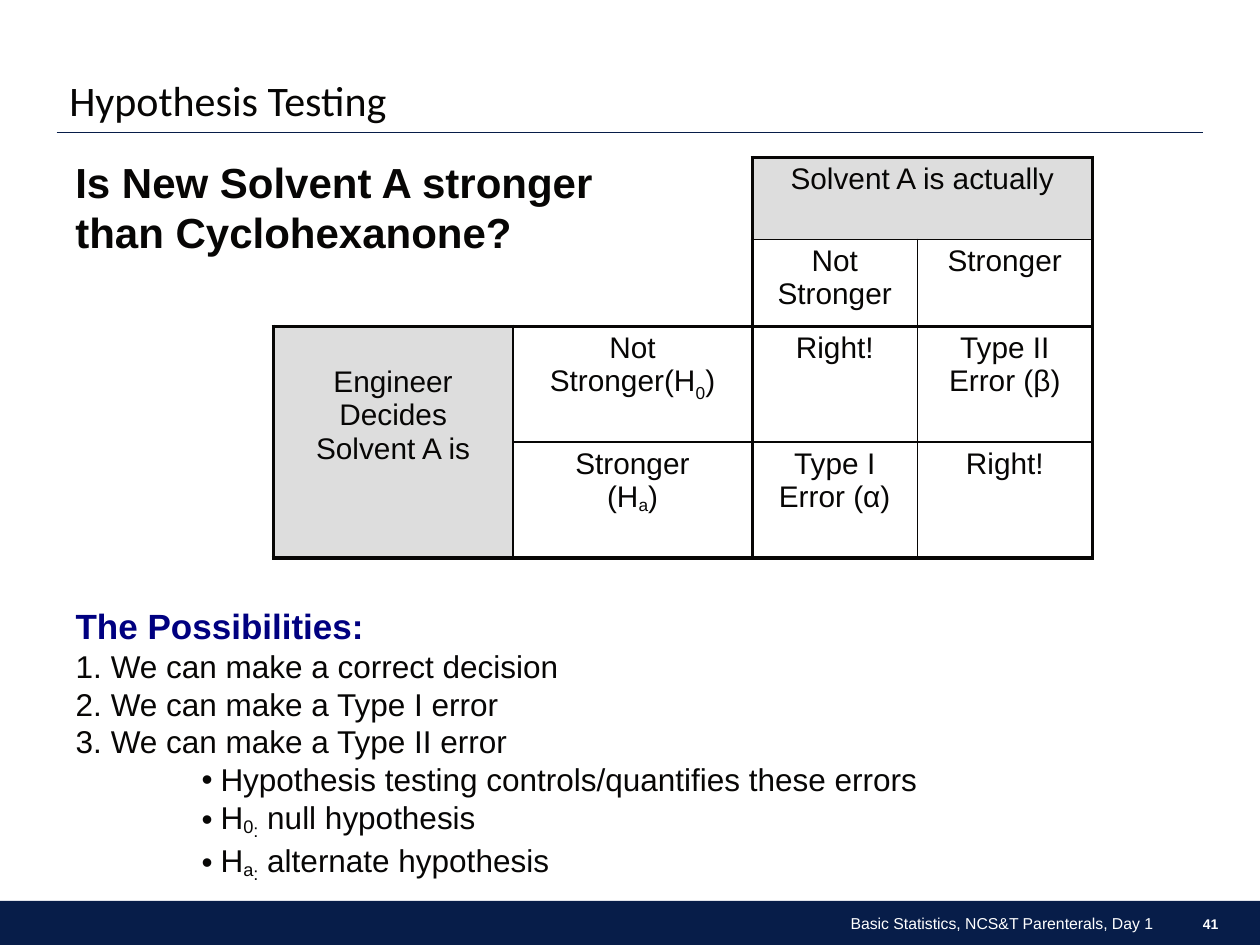
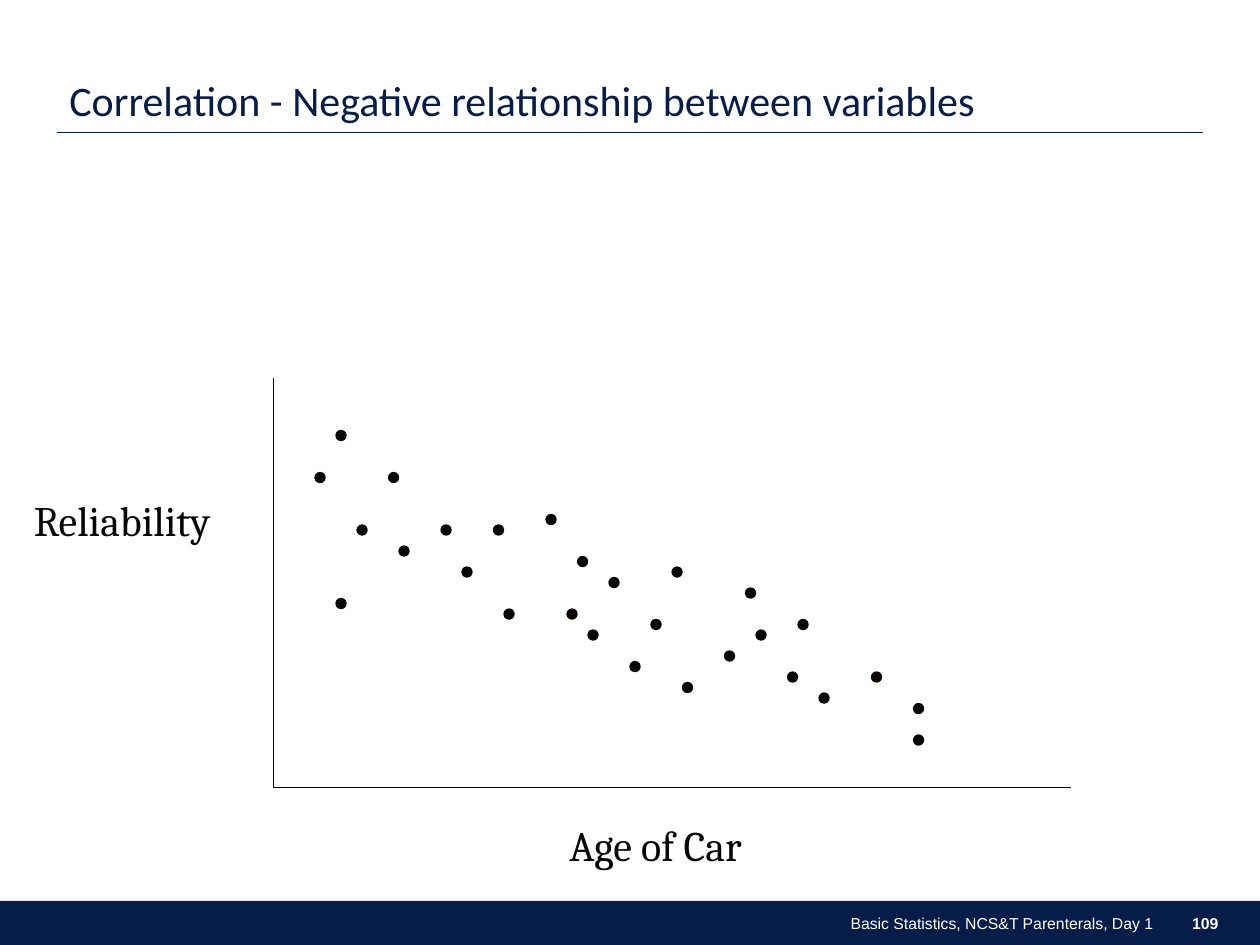
from lxml import etree
from pptx import Presentation
from pptx.dml.color import RGBColor
from pptx.enum import shapes, text
from pptx.oxml import ns
from pptx.util import Inches, Pt

NAVY = RGBColor(0x07, 0x1D, 0x49)
INK = RGBColor(0x07, 0x06, 0x05)
HEADING_BLUE = RGBColor(0x00, 0x00, 0x80)
GREY = RGBColor(0xDD, 0xDD, 0xDD)
WHITE = RGBColor(0xFF, 0xFF, 0xFF)

FOOTER = "Basic Statistics, NCS&T Parenterals, Day 1"
HEAVY, THIN = 2.25, 1

DECISION_CELLS = {
    (0, 2): ["Solvent A is actually"],
    (1, 2): ["Not Stronger"],
    (1, 3): ["Stronger"],
    (2, 0): ["Engineer\nDecides Solvent A is"],
    (2, 1): ["Not\nStronger(H", ("0", -25), ")"],
    (2, 2): ["Right!"],
    (2, 3): ["Type II Error (β)"],
    (3, 1): ["Stronger\n(H", ("a", -14), ")"],
    (3, 2): ["Type I Error (α)"],
    (3, 3): ["Right!"],
}

POSSIBILITIES = [
    ("number", ["We can make a correct decision"]),
    ("number", ["We can make a Type I error"]),
    ("number", ["We can make a Type II error"]),
    ("bullet", ["Hypothesis testing controls/quantifies these errors"]),
    ("bullet", ["H", ("0", -14), (":", -25), " null hypothesis"]),
    ("bullet", ["H", ("a", -14), (":", -25), " alternate hypothesis"]),
]

CARS_IN_TWELFTHS = [
    (32, 57), (37, 45), (44, 54), (52, 49), (48, 58), (47, 50), (55, 53),
    (56, 60), (65, 65), (30, 45), (60, 63), (62, 59), (69, 62), (87, 70),
    (75, 64), (72, 60), (76, 59), (78, 66), (87, 67), (83, 64), (32, 41),
    (34, 50), (42, 50), (54, 58), (64, 54), (71, 56), (38, 52), (58, 55),
]


def place(shape, left, top, width, height):
    shape.left, shape.top = Inches(left), Inches(top)
    shape.width, shape.height = Inches(width), Inches(height)


def style(para, font, size, color, bold=False):
    para.font.name = font
    para.font.size = Pt(size)
    para.font.color.rgb = color
    para.font.bold = bold


def add_spans(para, spans):
    for item in spans:
        words, baseline = (item, 0) if isinstance(item, str) else item
        for index, line in enumerate(words.split("\n")):
            if index:
                para.add_line_break()
            span = para.add_run()
            span.text = line
            if baseline:
                span._r.get_or_add_rPr().set("baseline", str(baseline * 1000))


def add_label(page, bounds, words, font, size, color, bold=False, wrap=True):
    box = page.shapes.add_textbox(*map(Inches, bounds))
    box.text_frame.word_wrap = wrap
    para = box.text_frame.paragraphs[0]
    add_spans(para, [words])
    style(para, font, size, color, bold)
    return box


def add_right_label(page, bounds, words, size, bold=False):
    box = add_label(page, bounds, words, "Arial", size, WHITE, bold)
    box.text_frame.vertical_anchor = text.MSO_ANCHOR.MIDDLE
    box.text_frame.paragraphs[0].alignment = text.PP_ALIGN.RIGHT
    return box


def add_line(page, start, end, color):
    line = page.shapes.add_connector(
        shapes.MSO_CONNECTOR.STRAIGHT, *map(Inches, start + end))
    line.line.color.rgb = color
    line.line.width = Pt(0.75)
    etree.SubElement(line._element.spPr, ns.qn("a:effectLst"))
    return line


def add_solid(page, kind, bounds, color):
    shape = page.shapes.add_shape(kind, *map(Inches, bounds))
    shape.shadow.inherit = False
    shape.fill.solid()
    shape.fill.fore_color.rgb = color
    shape.line.color.rgb = color
    shape.line.width = Pt(0.75)
    return shape


def dress_master(deck, page):
    master = deck.slide_master
    title = master.placeholders[0]
    place(title, 0.45, 0.25, 9.1, 0.8)
    title.text_frame.vertical_anchor = text.MSO_ANCHOR.BOTTOM
    title.text_frame.auto_size = text.MSO_AUTO_SIZE.NONE
    band = add_solid(page, shapes.MSO_SHAPE.RECTANGLE, (0, 7.15, 10, 0.35), NAVY)
    band.line.fill.background()
    rule = add_line(page, (0.45, 1.05), (9.55, 1.05), NAVY)
    for shared in (band, rule):
        master.shapes._spTree.append(shared._element)


def add_page(deck, layout, title, color, number, number_size):
    page = deck.slides.add_slide(deck.slide_layouts[layout])
    para = page.shapes.title.text_frame.paragraphs[0]
    add_spans(para, [title])
    para.alignment = text.PP_ALIGN.LEFT
    para.line_spacing = 0.9
    style(para, "Calibri", 24, color)
    add_right_label(page, (3.25, 7.23, 6, 0.2), FOOTER, 9)
    box = add_right_label(page, (9.28, 7.24, 0.39, 0.18), number, number_size, True)
    box.text_frame.margin_right = 0
    return page


def set_borders(cell, weights):
    props = cell._tc.get_or_add_tcPr()
    for side in "LRTB":
        edge = etree.SubElement(props, ns.qn(f"a:ln{side}"))
        weight = weights[side]
        if not weight:
            etree.SubElement(edge, ns.qn("a:noFill"))
            continue
        edge.set("w", str(Pt(weight)))
        fill = etree.SubElement(edge, ns.qn("a:solidFill"))
        etree.SubElement(fill, ns.qn("a:srgbClr"), val=str(INK))


def border_weights(cell, row, column):
    edges = {"L": column, "R": column + cell.span_width,
             "T": row, "B": row + cell.span_height}
    blank = row < 2 and column < 2
    return {side: 0 if blank and index != 2 else THIN if index % 2 else HEAVY
            for side, index in edges.items()}


def fill_cell(cell, row, column):
    set_borders(cell, border_weights(cell, row, column))
    cell.margin_top = cell.margin_bottom = Inches(0.04)
    if cell.is_merge_origin:
        cell.fill.solid()
        cell.fill.fore_color.rgb = GREY
    else:
        cell.fill.background()
    para = cell.text_frame.paragraphs[0]
    add_spans(para, DECISION_CELLS.get((row, column), []))
    para.alignment = text.PP_ALIGN.CENTER
    style(para, "Arial", 17, INK)


def add_decision_table(page):
    widths, heights = (1.9, 1.9, 1.31, 1.39), (0.65, 0.69, 0.92, 0.92)
    table = page.shapes.add_table(
        4, 4, Inches(2.17), Inches(1.25),
        Inches(sum(widths)), Inches(sum(heights))).table
    table.first_row = table.horz_banding = False
    for column, width in zip(table.columns, widths):
        column.width = Inches(width)
    for row, height in zip(table.rows, heights):
        row.height = Inches(height)
    table.cell(0, 2).merge(table.cell(0, 3))
    table.cell(2, 0).merge(table.cell(3, 0))
    for row in range(4):
        for column in range(4):
            cell = table.cell(row, column)
            if not cell.is_spanned:
                fill_cell(cell, row, column)
    table.cell(2, 0).margin_top = Inches(0.31)


def set_marker(para, kind):
    margin, hang = {"none": (0, 0), "number": (0.28, 0.28),
                    "bullet": (1.15, 0.15)}[kind]
    props = para._p.get_or_add_pPr()
    props.set("marL", str(Inches(margin)))
    props.set("indent", str(-Inches(hang)))
    if kind == "number":
        etree.SubElement(props, ns.qn("a:buFont"), typeface="Arial")
        etree.SubElement(props, ns.qn("a:buAutoNum"), type="arabicPeriod")
    elif kind == "bullet":
        etree.SubElement(props, ns.qn("a:buFont"), typeface="Arial")
        etree.SubElement(props, ns.qn("a:buChar"), char="•")
    else:
        etree.SubElement(props, ns.qn("a:buNone"))


def add_list_line(para, kind, spans, size, color, bold=False):
    set_marker(para, kind)
    para.space_before = Pt(0)
    add_spans(para, spans)
    style(para, "Arial", size, color, bold)


def fill_possibilities(body):
    place(body, 0.5, 4.75, 9.08, 2.27)
    frame = body.text_frame
    frame.auto_size = text.MSO_AUTO_SIZE.NONE
    add_list_line(frame.paragraphs[0], "none", ["The Possibilities:"],
                  20, HEADING_BLUE, True)
    for kind, spans in POSSIBILITIES:
        add_list_line(frame.add_paragraph(), kind, spans, 18, INK)


def add_axis_label(page, bounds, words):
    box = add_label(page, bounds, words, "Cambria", 24, INK, wrap=False)
    box.text_frame.paragraphs[0].line_spacing = 0.9


def add_scatter(page):
    corner = (2.17, 6.25)
    add_line(page, (2.17, 3), corner, INK)
    add_line(page, corner, (8.5, 6.25), INK)
    add_axis_label(page, (0.17, 3.92, 1.6, 0.5), "Reliability")
    add_axis_label(page, (4.42, 6.5, 1.68, 0.5), "Age of Car")
    for age, reliability in CARS_IN_TWELFTHS:
        add_solid(page, shapes.MSO_SHAPE.OVAL,
                  (age / 12, reliability / 12, 0.08, 0.08), INK)


def main():
    deck = Presentation()
    deck.slide_width, deck.slide_height = Inches(10), Inches(7.5)

    testing = add_page(deck, 1, "Hypothesis Testing", INK, "41", 8)
    dress_master(deck, testing)
    add_label(testing, (0.5, 1.19, 4.5, 0.9),
              "Is New Solvent A stronger\nthan Cyclohexanone?",
              "Arial", 24, INK, True)
    add_decision_table(testing)
    fill_possibilities(testing.placeholders[1])

    correlation = add_page(
        deck, 5, "Correlation - Negative relationship between variables",
        NAVY, "109", 9)
    add_scatter(correlation)

    deck.save("out.pptx")


if __name__ == "__main__":
    main()
